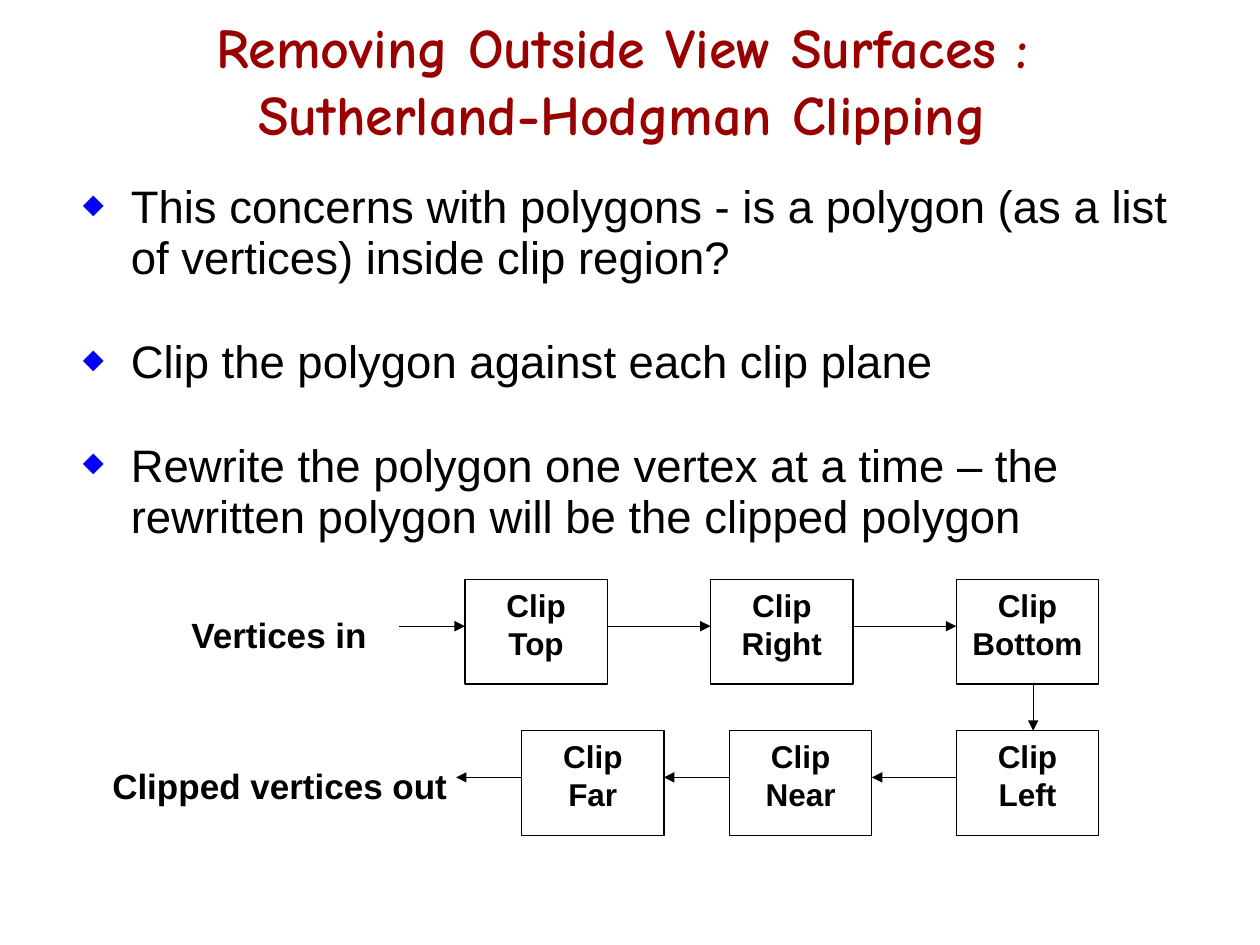
from lxml.etree import SubElement
from pptx import Presentation
from pptx.dml.color import RGBColor
from pptx.enum.shapes import MSO_CONNECTOR, MSO_SHAPE
from pptx.enum.text import MSO_ANCHOR, PP_ALIGN
from pptx.oxml.ns import qn
from pptx.util import Inches, Pt

BLACK, RED, BLUE = "000000", "990000", "0000FF"
BOX_WIDTH, BOX_HEIGHT = 1.13, 0.83
ARROW_DROP = 0.37  # from the top of a row to its arrows


def color(hex_string):
    return RGBColor.from_string(hex_string)


class ClippingSlide:
    def __init__(self, presentation):
        self.slide = presentation.slides.add_slide(presentation.slide_layouts[6])
        self.shapes = self.slide.shapes

    def style(self, paragraph, size, font="Arial", fill=BLACK, bold=False):
        paragraph.font.name = font
        paragraph.font.size = Pt(size)
        paragraph.font.bold = bold
        paragraph.font.color.rgb = color(fill)

    def text_frame(self, left, top, width, height, wrap=True):
        shape = self.shapes.add_textbox(
            Inches(left), Inches(top), Inches(width), Inches(height))
        shape.text_frame.word_wrap = wrap
        return shape.text_frame

    def title(self, text):
        frame = self.text_frame(0.69, 0.18, 8.5, 0.9)
        frame.vertical_anchor = MSO_ANCHOR.MIDDLE
        paragraph = frame.paragraphs[0]
        paragraph.text = text
        paragraph.alignment = PP_ALIGN.CENTER
        self.style(paragraph, 32, "Comic Neue", RED, bold=True)

    def bullets(self, items):
        frame = self.text_frame(0.56, 1.4, 8.9, 2.97)
        for index, item in enumerate(items):
            paragraph = frame.add_paragraph() if index else frame.paragraphs[0]
            paragraph.text = item
            paragraph.line_spacing = 0.94
            if index:
                paragraph.space_before = Pt(30)
            properties = paragraph._p.get_or_add_pPr()
            properties.set("marL", str(Inches(0.38)))
            properties.set("indent", str(-Inches(0.38)))
            bullet_color = SubElement(properties, qn("a:buClr"))
            SubElement(bullet_color, qn("a:srgbClr"), val=BLUE)
            SubElement(properties, qn("a:buSzPct"), val="60000")
            SubElement(properties, qn("a:buChar"), char="◆")
            self.style(paragraph, 26)

    def label(self, text, left, top, width):
        paragraph = self.text_frame(left, top, width, 0.44, wrap=False).paragraphs[0]
        paragraph.text = text
        paragraph.alignment = PP_ALIGN.RIGHT
        self.style(paragraph, 20, bold=True)

    def box(self, text, left, top):
        shape = self.shapes.add_shape(
            MSO_SHAPE.RECTANGLE, Inches(left), Inches(top),
            Inches(BOX_WIDTH), Inches(BOX_HEIGHT))
        shape.shadow.inherit = False
        shape.fill.background()
        shape.line.color.rgb = color(BLACK)
        shape.line.width = Pt(0.75)
        frame = shape.text_frame
        frame.word_wrap = True
        frame.vertical_anchor = MSO_ANCHOR.TOP
        frame.margin_left = frame.margin_right = Inches(0.12)
        paragraph = frame.paragraphs[0]
        paragraph.text = text
        paragraph.alignment = PP_ALIGN.CENTER
        self.style(paragraph, 18, bold=True)

    def arrow(self, start_x, start_y, end_x, end_y):
        connector = self.shapes.add_connector(
            MSO_CONNECTOR.STRAIGHT, Inches(start_x), Inches(start_y),
            Inches(end_x), Inches(end_y))
        connector.line.color.rgb = color(BLACK)
        connector.line.width = Pt(0.75)
        SubElement(connector.line._get_or_add_ln(), qn("a:tailEnd"), type="triangle")
        SubElement(connector._element.spPr, qn("a:effectLst"))


def main():
    presentation = Presentation()
    presentation.slide_width = Inches(10)
    presentation.slide_height = Inches(7.5)
    slide = ClippingSlide(presentation)

    # Title and bullets
    slide.title("Removing Outside View Surfaces :\vSutherland-Hodgman Clipping")
    slide.bullets([
        "This concerns with polygons - is a polygon (as a list of vertices) "
        "inside clip region?",
        "Clip the polygon against each clip plane",
        "Rewrite the polygon one vertex at a time – the rewritten polygon "
        "will be the clipped polygon",
    ])

    # Upper row: left to right
    top_row, bottom_row = 4.6, 5.8
    slide.label("Vertices in", 1.4, top_row + 0.22, 1.61)
    arrow_start = 3.17
    for name, left in [("Top", 3.69), ("Right", 5.64), ("Bottom", 7.59)]:
        slide.box(f"Clip {name}", left, top_row)
        arrow_y = top_row + ARROW_DROP
        slide.arrow(arrow_start, arrow_y, left, arrow_y)
        arrow_start = left + BOX_WIDTH

    # Down to the lower row
    slide.arrow(8.2, top_row + BOX_HEIGHT, 8.2, bottom_row)

    # Lower row: right to left, each arrow ending at the next box or the label
    lower_boxes = [("Left", 7.59), ("Near", 5.79), ("Far", 4.14)]
    arrow_ends = [left + BOX_WIDTH for _, left in lower_boxes[1:]] + [3.62]
    for (name, left), arrow_end in zip(lower_boxes, arrow_ends):
        slide.box(f"Clip {name}", left, bottom_row)
        arrow_y = bottom_row + ARROW_DROP
        slide.arrow(left, arrow_y, arrow_end, arrow_y)
    slide.label("Clipped vertices out", 0.79, bottom_row + 0.22, 2.86)

    presentation.save("out.pptx")


if __name__ == "__main__":
    main()
